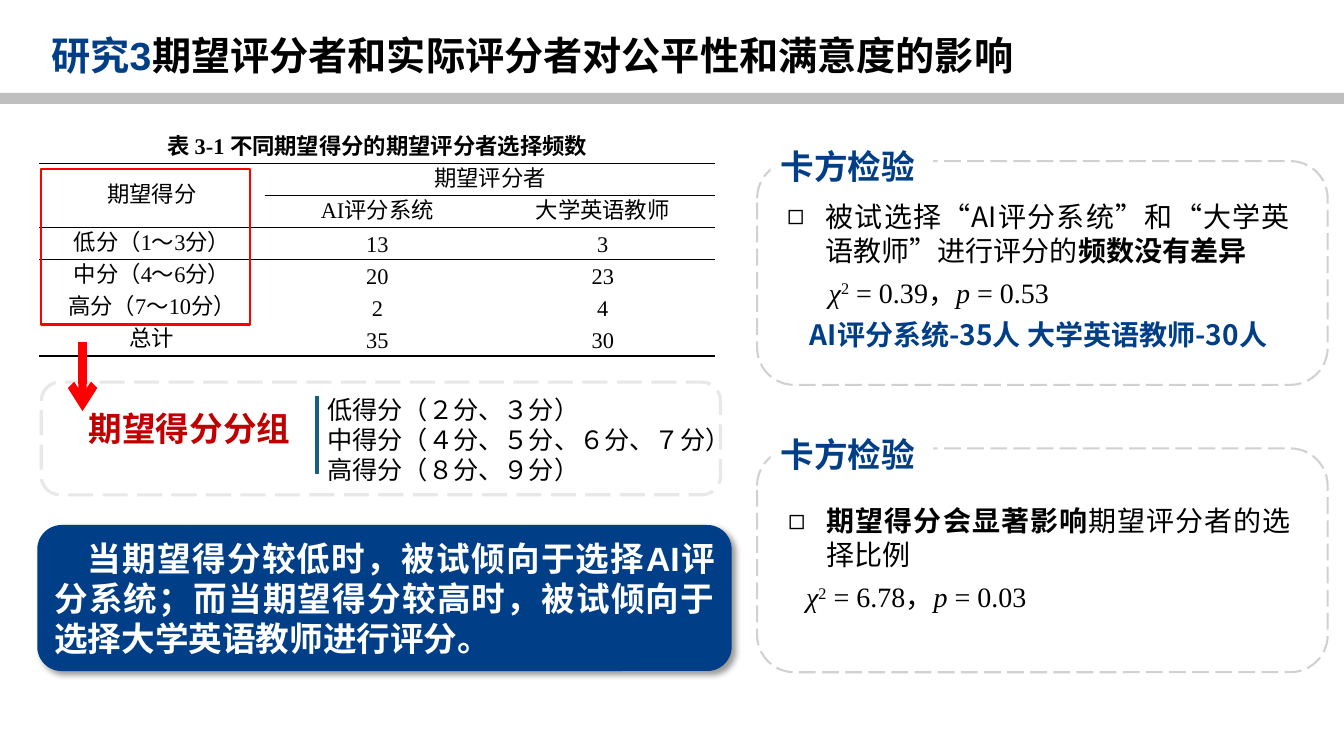
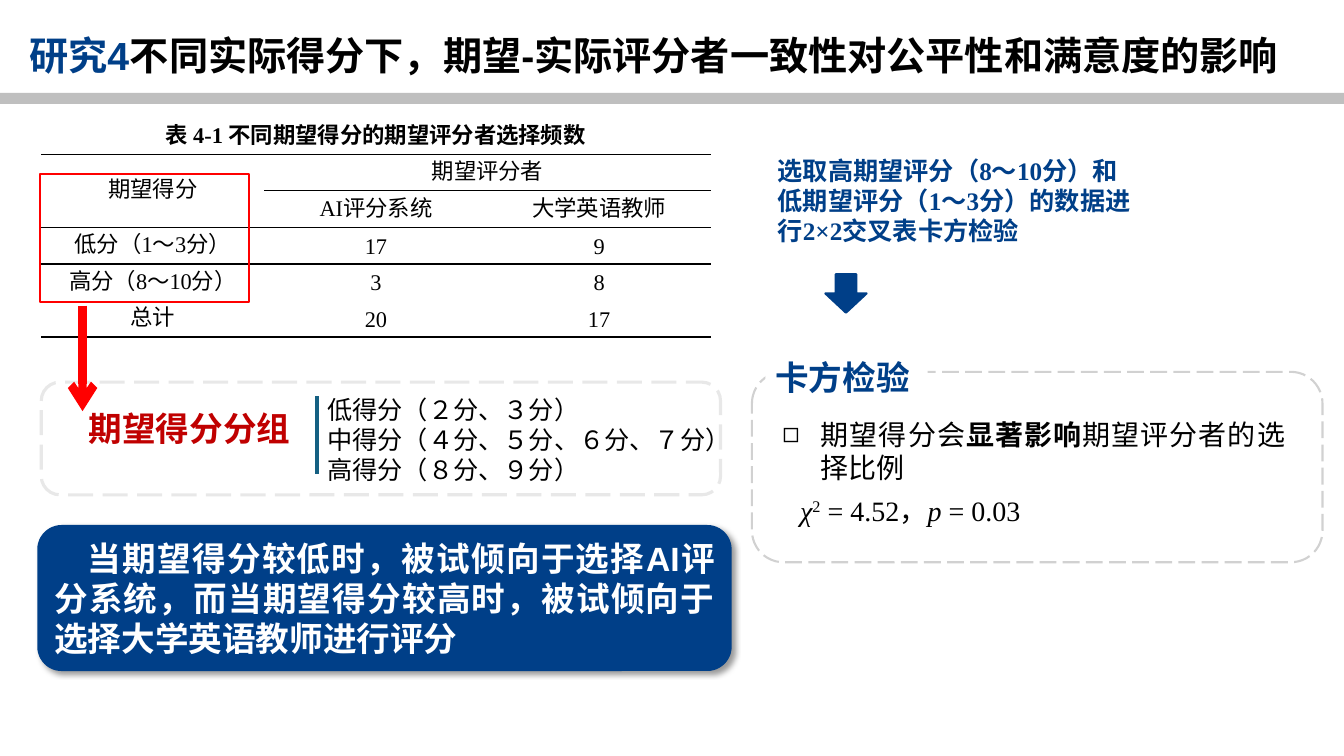
import pptx
import pptx.util
import pptx.dml.color
import pptx.enum.dml
import pptx.enum.shapes
import pptx.enum.text
import pptx.oxml
import pptx.oxml.ns
from lxml import etree

Cm = pptx.util.Cm
Pt = pptx.util.Pt
RGBColor = pptx.dml.color.RGBColor
qn = pptx.oxml.ns.qn
Shape = pptx.enum.shapes.MSO_SHAPE
Align = pptx.enum.text.PP_ALIGN
Anchor = pptx.enum.text.MSO_ANCHOR

NAVY = RGBColor(0x00, 0x3F, 0x88)
BLACK = RGBColor(0x00, 0x00, 0x00)
WHITE = RGBColor(0xFF, 0xFF, 0xFF)
RED = RGBColor(0xFF, 0x00, 0x00)
DARK_RED = RGBColor(0xC0, 0x00, 0x00)
TEAL = RGBColor(0x15, 0x60, 0x82)
BAND_GRAY = RGBColor(0xBF, 0xBF, 0xBF)
FRAME_GRAY = RGBColor(0xD1, 0xD1, 0xD1)
PALE_GRAY = RGBColor(0xE8, 0xE8, 0xE8)

SANS = "Noto Sans CJK SC"
SERIF = "Times New Roman"
ARIAL = "Arial"
PLAIN_TABLE = "{2D5ABB26-0587-4C30-8999-92F81FD0307C}"
SHADOW = (
    '<a:effectLst xmlns:a="http://schemas.openxmlformats.org/drawingml/2006/main">'
    '<a:outerShdw blurRad="50800" dist="38100" dir="2700000" algn="tl" rotWithShape="0">'
    '<a:srgbClr val="000000"><a:alpha val="40000"/></a:srgbClr>'
    '</a:outerShdw></a:effectLst>'
)


def add_span(para, text, font=SANS, size=20, color=BLACK, bold=False, italic=False, raised=False):
    span = para.add_run()
    span.text = text
    span.font.name = font
    span.font.size = Pt(size)
    span.font.color.rgb = color
    span.font.bold = bold
    span.font.italic = italic
    properties = span._r.get_or_add_rPr()
    east_asian = etree.Element(qn("a:ea"), typeface=SANS)
    properties.find(qn("a:latin")).addnext(east_asian)
    if raised:
        properties.set("baseline", "30000")


def write_para(para, content, align=Align.LEFT, before=0, left=0, first=0, bullet=None,
               tab=None, leading=1.2, size=20, **style):
    para.alignment = align
    para.line_spacing = Pt(round(size * leading, 1))
    para.space_before = Pt(before)
    properties = para._p.get_or_add_pPr()
    properties.set("marL", str(Cm(left)))
    properties.set("indent", str(Cm(first)))
    if bullet:
        etree.SubElement(properties, qn("a:buChar"), char=bullet)
    else:
        etree.SubElement(properties, qn("a:buNone"))
    if tab:
        tabs = etree.SubElement(properties, qn("a:tabLst"))
        etree.SubElement(tabs, qn("a:tab"), pos=str(Cm(tab)), algn="l")
    pieces = [(content, {})] if isinstance(content, str) else content
    for text, changes in pieces:
        add_span(para, text, **{"size": size, **style, **changes})


def write_paras(frame, contents, anchor=Anchor.TOP, **style):
    frame.word_wrap = True
    frame.auto_size = pptx.enum.text.MSO_AUTO_SIZE.NONE
    frame.vertical_anchor = anchor
    for index, content in enumerate(contents):
        para = frame.add_paragraph() if index else frame.paragraphs[0]
        write_para(para, content, **style)


def move(shape, left, top, width, height):
    shape.left, shape.top, shape.width, shape.height = Cm(left), Cm(top), Cm(width), Cm(height)


def add_text(page, area, *contents, fill=None, **style):
    box = page.shapes.add_textbox(*map(Cm, area))
    if fill is not None:
        box.fill.solid()
        box.fill.fore_color.rgb = fill
    write_paras(box.text_frame, contents, **style)


def add_outline(page, kind, area, fill=None, line=None, weight=1.5, dashed=False):
    shape = page.shapes.add_shape(kind, *map(Cm, area))
    shape.shadow.inherit = False
    if fill is None:
        shape.fill.background()
    else:
        shape.fill.solid()
        shape.fill.fore_color.rgb = fill
    if line is None:
        shape.line.fill.background()
    else:
        shape.line.color.rgb = line
        shape.line.width = Pt(weight)
    if dashed:
        shape.line.dash_style = pptx.enum.dml.MSO_LINE.LONG_DASH
    return shape


def add_vertical_line(page, left, top, bottom, color, weight, arrow=False):
    line = page.shapes.add_connector(pptx.enum.shapes.MSO_CONNECTOR.STRAIGHT,
                                     Cm(left), Cm(top), Cm(left), Cm(bottom))
    line.line.color.rgb = color
    line.line.width = Pt(weight)
    if arrow:
        etree.SubElement(line.line._get_or_add_ln(), qn("a:tailEnd"), type="arrow")
    etree.SubElement(line._element.spPr, qn("a:effectLst"))


def add_band(deck, page):
    band = add_outline(page, Shape.RECTANGLE, (0, 2.34, 33.87, 0.28), fill=BAND_GRAY)
    deck.slide_master.shapes._spTree.append(band._element)


def add_page(deck, layout, study, title, left, width):
    page = deck.slides.add_slide(deck.slide_layouts[layout])
    heading = page.shapes.title
    move(heading, left, 0.85, width, 1.17)
    pieces = [(study + "\t", {"color": NAVY}), (title, {})]
    write_paras(heading.text_frame, [pieces], anchor=Anchor.MIDDLE, font=ARIAL,
                size=28, bold=True, leading=1.1, tab=3.55)
    return page


def rule_cell(cell, side):
    line = etree.Element(qn("a:" + side), w=str(Pt(1)))
    fill = etree.SubElement(line, qn("a:solidFill"))
    etree.SubElement(fill, qn("a:srgbClr"), val=str(BLACK))
    cell._tc.get_or_add_tcPr().insert(0, line)


def add_frequency_table(page, left, top, width, row_height, caption, counts):
    rows = [(caption, "", ""), ("期望得分", "期望评分者", ""),
            ("", "AI评分系统", "大学英语教师"), *counts]
    table = page.shapes.add_table(len(rows), 3, Cm(left), Cm(top), Cm(width),
                                  Cm(row_height * len(rows))).table
    table._tbl.tblPr.find(qn("a:tableStyleId")).text = PLAIN_TABLE
    table.first_row = table.horz_banding = False
    table.cell(0, 0).merge(table.cell(0, 2))
    table.cell(1, 0).merge(table.cell(2, 0))
    table.cell(1, 1).merge(table.cell(1, 2))
    last = len(rows) - 1
    for row, texts in enumerate(rows):
        table.rows[row].height = Cm(row_height)
        for column, text in enumerate(texts):
            cell = table.cell(row, column)
            cell.fill.background()
            cell.margin_left = cell.margin_right = Cm(0.18)
            cell.margin_top = cell.margin_bottom = 0
            cell.vertical_anchor = Anchor.MIDDLE
            write_para(cell.text_frame.paragraphs[0], text, align=Align.CENTER,
                       font=SERIF, size=16, bold=row == 0)
            if row in (0, 2, last) or (row == 1 and column):
                rule_cell(cell, "lnB")
            if row in (1, 3) or (row == 2 and column):
                rule_cell(cell, "lnT")


def add_score_groups(page, highlight, arrow_top):
    add_outline(page, Shape.ROUNDED_RECTANGLE, (1.04, 9.63, 17.12, 2.84),
                line=PALE_GRAY, weight=2.25, dashed=True)
    add_text(page, (8, 9.8, 17.35, 2.57), "低得分（２分、３分）",
             "中得分（４分、５分、６分、７分）", "高得分（８分、９分）", size=18)
    add_text(page, (1.42, 10.16, 6.71, 1.27), "期望得分分组", size=24,
             color=DARK_RED, bold=True, align=Align.CENTER)
    add_vertical_line(page, 7.98, 9.98, 11.94, TEAL, 3)
    add_outline(page, Shape.RECTANGLE, highlight, line=RED)
    add_vertical_line(page, 2.08, arrow_top, 10.36, RED, 6, arrow=True)


def add_conclusion(page, text):
    banner = add_outline(page, Shape.ROUNDED_RECTANGLE, (0.94, 13.23, 17.5, 3.68), fill=NAVY)
    properties = banner._element.spPr
    properties.remove(properties.find(qn("a:effectLst")))
    properties.append(pptx.oxml.parse_xml(SHADOW))
    write_paras(banner.text_frame, [text], anchor=Anchor.MIDDLE, font=ARIAL, size=24,
                color=WHITE, bold=True, align=Align.JUSTIFY, first=0.84)


def chi_square(value, probability):
    return [("χ", {"italic": True}), ("2", {"raised": True}), (f" = {value}，", {}),
            ("p", {"italic": True}), (f" = {probability}", {})]


def add_test(page, body, area, frame, label_height, finding, formula, formula_left, groups=None):
    move(body, *area)
    write_paras(body.text_frame, [finding], align=Align.JUSTIFY, left=0.97, first=-0.97, bullet="◻")
    write_para(body.text_frame.add_paragraph(), formula, font=SERIF, before=6, left=formula_left)
    if groups:
        write_para(body.text_frame.add_paragraph(), groups, color=NAVY, bold=True,
                   before=6, align=Align.CENTER)
    add_outline(page, Shape.ROUNDED_RECTANGLE, frame, line=FRAME_GRAY, dashed=True)
    left, top = frame[:2]
    add_text(page, (left + 0.34, top - 0.5, 4.09, label_height), "卡方检验", fill=WHITE,
             size=24, color=NAVY, bold=True)


def add_study_three(deck):
    page = add_page(deck, 3, "研究3", "期望评分者和实际评分者对公平性和满意度的影响", 1.04, 25.65)
    add_band(deck, page)
    add_frequency_table(page, 0.99, 3.3, 17.04, 0.81, "表 3-1 不同期望得分的期望评分者选择频数", [
        ("低分（1～3分）", "13", "3"),
        ("中分（4～6分）", "20", "23"),
        ("高分（7～10分）", "2", "4"),
        ("总计", "35", "30"),
    ])
    add_score_groups(page, (1.04, 4.27, 5.26, 3.91), 8.61)
    add_test(page, page.placeholders[1], (19.58, 4.9, 13.18, 5.33), (19.08, 4.06, 14.38, 5.64), 1.27,
             [("被试选择“AI评分系统”和“大学英语教师”进行评分的", {}),
              ("频数没有差异", {"bold": True})],
             chi_square("0.39", "0.53"), 1.05, "AI评分系统-35人 大学英语教师-30人")
    add_test(page, page.placeholders[2], (19.61, 12.57, 13.18, 4.27), (19.08, 11.3, 14.38, 5.64), 1.27,
             [("期望得分会显著影响", {"bold": True}), ("期望评分者的选择比例", {})],
             chi_square("6.78", "0.03"), 0.45)
    add_conclusion(page, "当期望得分较低时，被试倾向于选择AI评分系统；"
                         "而当期望得分较高时，被试倾向于选择大学英语教师进行评分。")


def add_study_four(deck):
    page = add_page(deck, 1, "研究4", "不同实际得分下，期望-实际评分者一致性对公平性和满意度的影响", 0.48, 33.05)
    add_frequency_table(page, 1.04, 2.97, 16.87, 0.92, "表 4-1 不同期望得分的期望评分者选择频数", [
        ("低分（1～3分）", "17", "9"),
        ("高分（8～10分）", "3", "8"),
        ("总计", "20", "17"),
    ])
    add_score_groups(page, (1.02, 4.39, 5.26, 3.23), 7.7)
    add_text(page, (19.35, 3.78, 9.42, 2.57),
             "选取高期望评分（8～10分）和低期望评分（1～3分）的数据进行2×2交叉表卡方检验",
             font=SERIF, size=18, color=NAVY, bold=True)
    add_outline(page, Shape.DOWN_ARROW, (20.8, 6.91, 1.04, 0.97), fill=NAVY, line=NAVY)
    add_test(page, page.placeholders[1], (19.46, 10.39, 13.18, 3.63), (18.95, 9.37, 14.38, 4.8), 1.09,
             [("期望得分会", {}), ("显著影响", {"bold": True}), ("期望评分者的选择比例", {})],
             chi_square("4.52", "0.03"), 0.45)
    add_conclusion(page, "当期望得分较低时，被试倾向于选择AI评分系统，"
                         "而当期望得分较高时，被试倾向于选择大学英语教师进行评分")


def main():
    deck = pptx.Presentation()
    deck.slide_width, deck.slide_height = Cm(33.87), Cm(19.05)
    add_study_three(deck)
    add_study_four(deck)
    deck.save("out.pptx")


if __name__ == "__main__":
    main()
